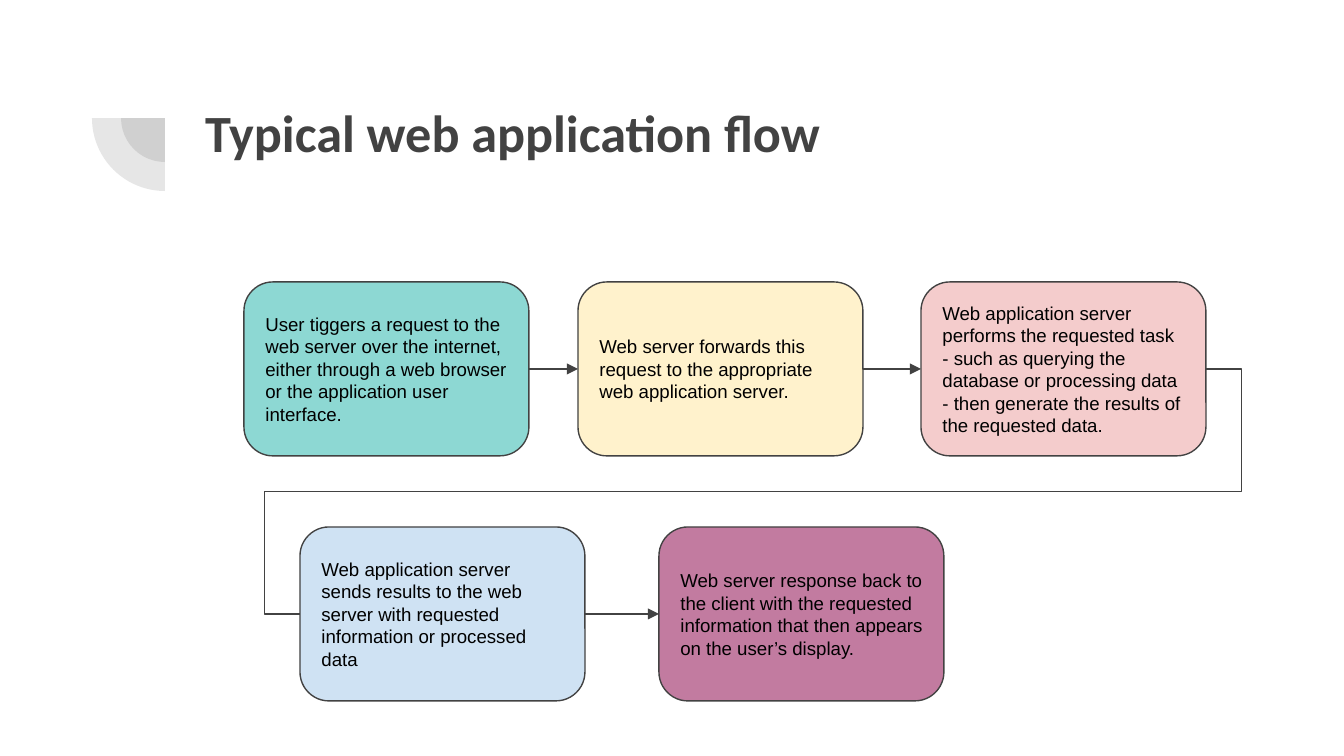
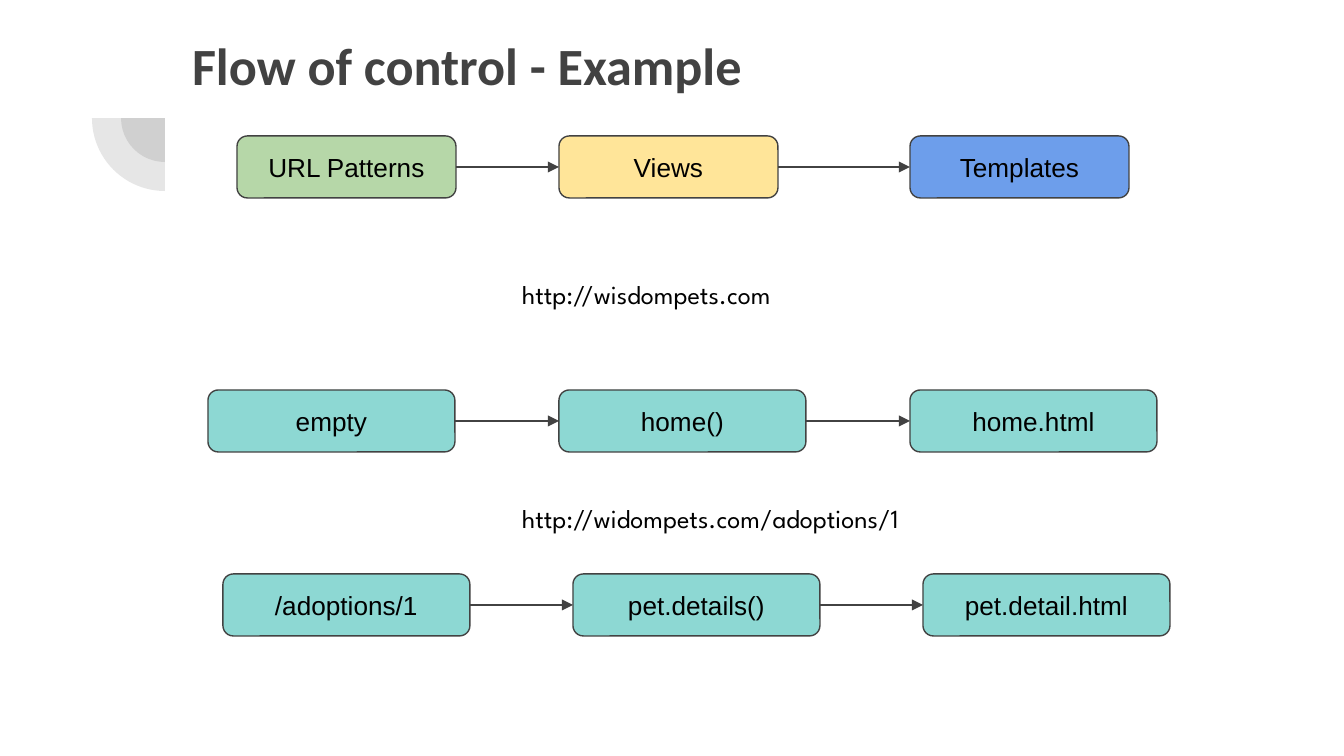
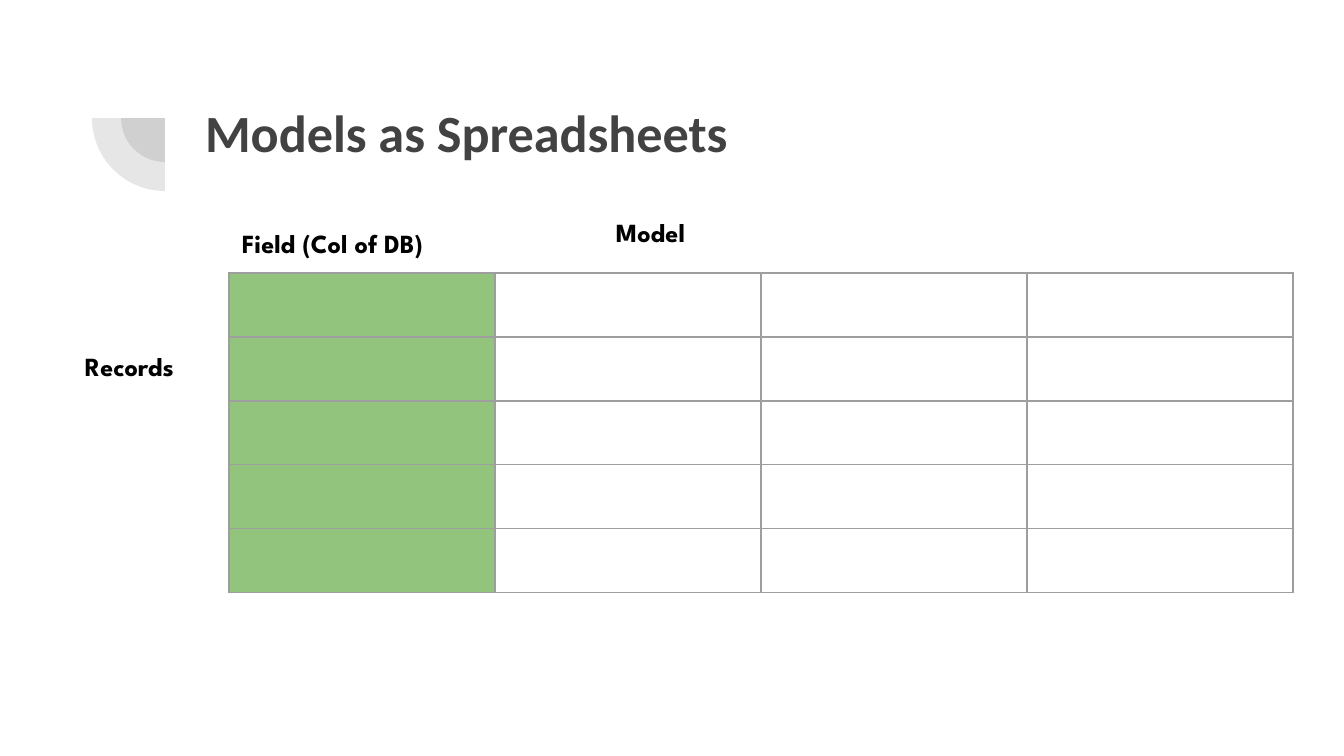
from lxml import etree
from pptx import Presentation
from pptx.dml.color import RGBColor
from pptx.enum.shapes import MSO_CONNECTOR, MSO_SHAPE
from pptx.enum.text import MSO_ANCHOR, MSO_AUTO_SIZE, PP_ALIGN
from pptx.oxml.ns import qn
from pptx.util import Pt

# Scale and page
PX = 914400 / 134.4
WIDE, HIGH = 1344, 756
INSET = 13

# Colours
INK = RGBColor(0x42, 0x42, 0x42)
BLACK = RGBColor(0x00, 0x00, 0x00)
GRID = RGBColor(0x9E, 0x9E, 0x9E)
TEAL = RGBColor(0x8D, 0xD8, 0xD3)
CREAM = RGBColor(0xFF, 0xF2, 0xCC)
PINK = RGBColor(0xF4, 0xCC, 0xCC)
PALE = RGBColor(0xCF, 0xE2, 0xF3)
PLUM = RGBColor(0xC2, 0x7B, 0xA0)
MINT = RGBColor(0xB6, 0xD7, 0xA8)
GOLD = RGBColor(0xFF, 0xE5, 0x99)
BLUE = RGBColor(0x6D, 0x9E, 0xEB)
GREEN = RGBColor(0x93, 0xC4, 0x7D)

# Enum members
ROUND, PIE = MSO_SHAPE.ROUNDED_RECTANGLE, MSO_SHAPE.PIE
LINE, ELBOW = MSO_CONNECTOR.STRAIGHT, MSO_CONNECTOR.ELBOW
TOP, MIDDLE = MSO_ANCHOR.TOP, MSO_ANCHOR.MIDDLE
LEFT, CENTER = PP_ALIGN.LEFT, PP_ALIGN.CENTER
GROW = MSO_AUTO_SIZE.SHAPE_TO_FIT_TEXT
LEFT_SITE, RIGHT_SITE = 1, 3


def emu(*sizes):
    return [round(size * PX) for size in sizes]


def add(node, tag, **attrs):
    return etree.SubElement(node, qn(tag), attrs)


class Deck:
    """Holds the shared style and the current slide."""

    def __init__(self):
        self.file = Presentation()
        self.file.slide_width, self.file.slide_height = emu(WIDE, HIGH)
        self.slide = None

    def page(self, title, x=192, y=87, h=146):
        self.slide = self.file.slides.add_slide(self.file.slide_layouts[6])
        for radius in (44, 73):
            self.pie(165, 118, radius)
        self.text(title, x, y, 1034, h, 28, "Calibri", INK, True)

    def pie(self, x, y, radius):
        at = emu(x - radius, y - radius, 2 * radius, 2 * radius)
        shape = self.slide.shapes.add_shape(PIE, *at)
        shape.rotation = 270
        shape.adjustments[0], shape.adjustments[1] = 108, 162
        shape.shadow.inherit = False
        shape.line.fill.background()
        shape.fill.solid()
        shape.fill.fore_color.rgb = INK
        color = shape._element.spPr.find(".//" + qn("a:srgbClr"))
        add(color, "a:alpha", val="13000")

    def put(self, shape, words, size, font, color, bold, align, anchor):
        frame = shape.text_frame
        frame.word_wrap = True
        frame.vertical_anchor = anchor
        frame.margin_left = frame.margin_right = round(INSET * PX)
        frame.margin_top = frame.margin_bottom = round(INSET * PX)
        para = frame.paragraphs[0]
        para.text, para.alignment = words, align
        para.font.size, para.font.name = Pt(size), font
        para.font.bold, para.font.color.rgb = bold, color

    def text(self, words, x, y, w, h, size, font, color, bold):
        shape = self.slide.shapes.add_textbox(*emu(x, y, w, h))
        self.put(shape, words, size, font, color, bold, LEFT, TOP)
        return shape

    def label(self, words, x, y, w, bold=False):
        shape = self.text(words, x, y, w, 59, 14, "League Spartan", BLACK, bold)
        shape.text_frame.auto_size = GROW

    def box(self, words, x, y, w, h, fill, size, align):
        shape = self.slide.shapes.add_shape(ROUND, *emu(x, y, w, h))
        shape.shadow.inherit = False
        shape.fill.solid()
        shape.fill.fore_color.rgb = fill
        shape.line.color.rgb, shape.line.width = INK, Pt(0.75)
        self.put(shape, words, size, "Arial", BLACK, False, align, MIDDLE)
        return shape

    def row(self, items, y, w, h, size, align):
        """Boxes from left to right, with an arrow between neighbours."""
        boxes = [self.box(words, x, y, w, h, fill, size, align)
                 for words, x, fill in items]
        for start, end in zip(boxes, boxes[1:]):
            line = self.join(LINE, start, end)
            add(line.line._get_or_add_ln(), "a:tailEnd", type="triangle")
        return boxes

    def join(self, kind, start, end):
        line = self.slide.shapes.add_connector(kind, 0, 0, 0, 0)
        line.begin_connect(start, RIGHT_SITE)
        line.end_connect(end, LEFT_SITE)
        line.line.color.rgb, line.line.width = INK, Pt(0.75)
        add(line._element.spPr, "a:effectLst")
        return line

    def wrap(self, start, end):
        """Line from the end of one row back to the start of the next."""
        line = self.join(ELBOW, start, end)
        shape = line._element.spPr.find(qn("a:prstGeom"))
        shape.set("prst", "bentConnector5")
        for old in list(shape):
            shape.remove(old)
        guides = add(shape, "a:avLst")
        for i, val in enumerate((-3900, 50000, 103900), 1):
            add(guides, "a:gd", name=f"adj{i}", fmla=f"val {val}")

    def table(self, x, y, rows, cols, w, h):
        """Empty grid with its first column filled."""
        at = emu(x, y, cols * w, rows * h)
        grid = self.slide.shapes.add_table(rows, cols, *at).table
        grid.first_row = grid.horz_banding = False
        for r in range(rows):
            for c in range(cols):
                cell = grid.cell(r, c)
                props = cell._tc.get_or_add_tcPr()
                for side in ("L", "R", "T", "B"):
                    edge = add(props, "a:ln" + side, w=str(int(Pt(0.75))))
                    add(add(edge, "a:solidFill"), "a:srgbClr", val=str(GRID))
                if c == 0:
                    cell.fill.solid()
                    cell.fill.fore_color.rgb = GREEN
                else:
                    cell.fill.background()


def main():
    deck = Deck()

    # Request flow
    deck.page("Typical web application flow")
    size = (285, 174, 10, LEFT)
    upper = deck.row([
        ("User tiggers a request to the web server over the internet, either "
         "through a web browser or the application user interface.", 244, TEAL),
        ("Web server forwards this request to the appropriate web application "
         "server.", 578, CREAM),
        ("Web application server performs the requested task - such as "
         "querying the database or processing data - then generate the "
         "results of the requested data.", 921, PINK),
    ], 282, *size)
    lower = deck.row([
        ("Web application server sends results to the web server with "
         "requested information or processed data", 300, PALE),
        ("Web server response back to the client with the requested "
         "information that then appears on the user’s display.", 659, PLUM),
    ], 527, *size)
    deck.wrap(upper[-1], lower[0])

    # Control flow
    deck.page("Flow of control - Example", 179, 20, 98)
    deck.row([("URL Patterns", 237, MINT), ("Views", 559, GOLD),
              ("Templates", 910, BLUE)], 136, 219, 62, 14, CENTER)
    deck.label("http://wisdompets.com", 509, 265, 319)
    deck.label("http://widompets.com/adoptions/1", 509, 489, 438)
    for x, y, step, names in (
        (208, 390, 351, ("empty", "home()", "home.html")),
        (223, 574, 350, ("/adoptions/1", "pet.details()", "pet.detail.html")),
    ):
        items = [(name, x + i * step, TEAL) for i, name in enumerate(names)]
        deck.row(items, y, 247, 62, 14, CENTER)

    # Model grid
    deck.page("Models as Spreadsheets")
    deck.table(229, 273, 5, 4, 266, 64)
    deck.label("Field (Col of DB)", 229, 214, 296, True)
    deck.label("Model", 603, 203, 258, True)
    deck.label("Records", 72, 337, 125, True)

    deck.file.save("out.pptx")


if __name__ == "__main__":
    main()
